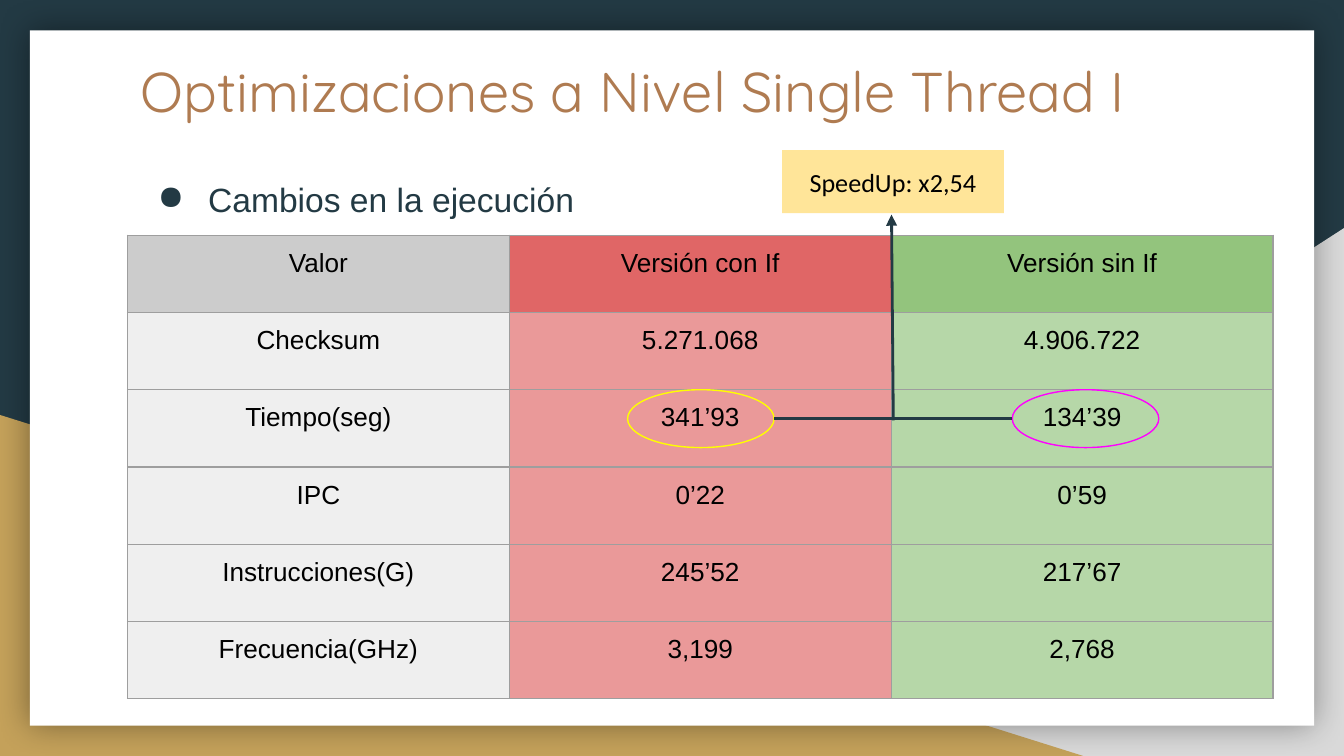
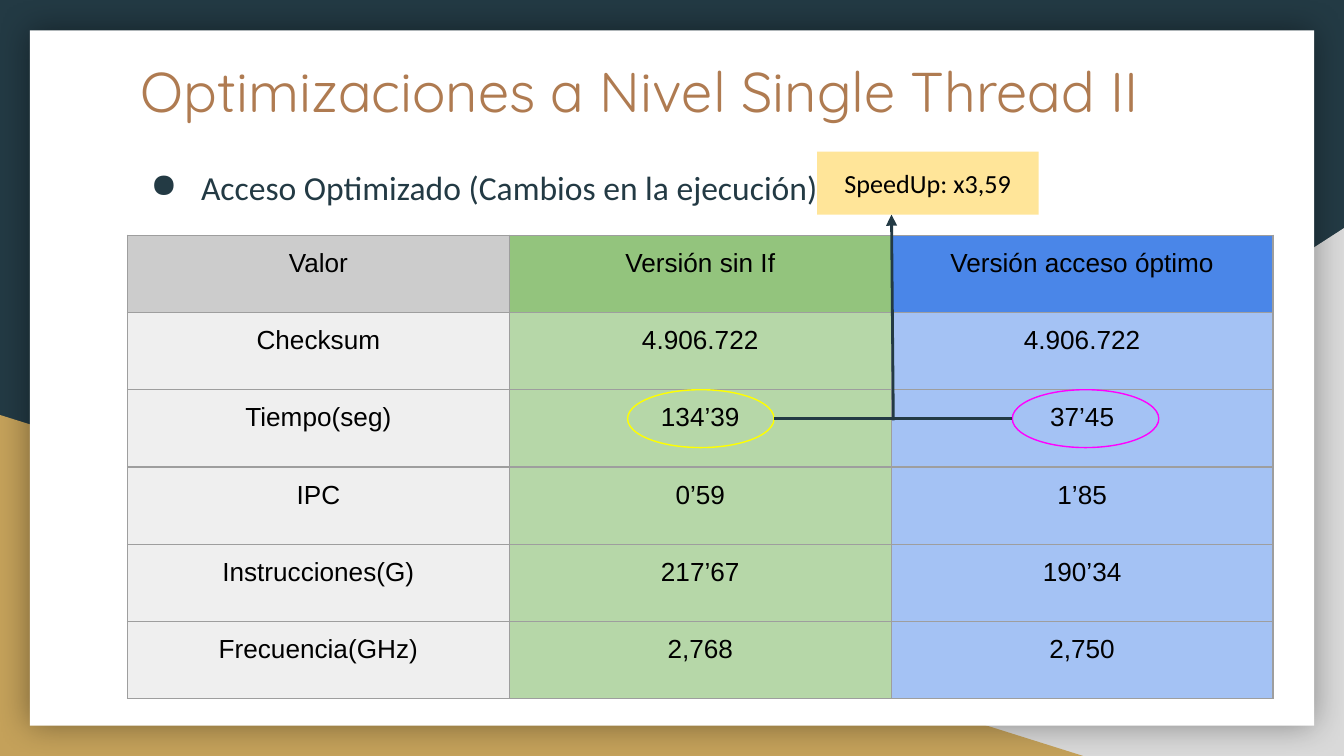
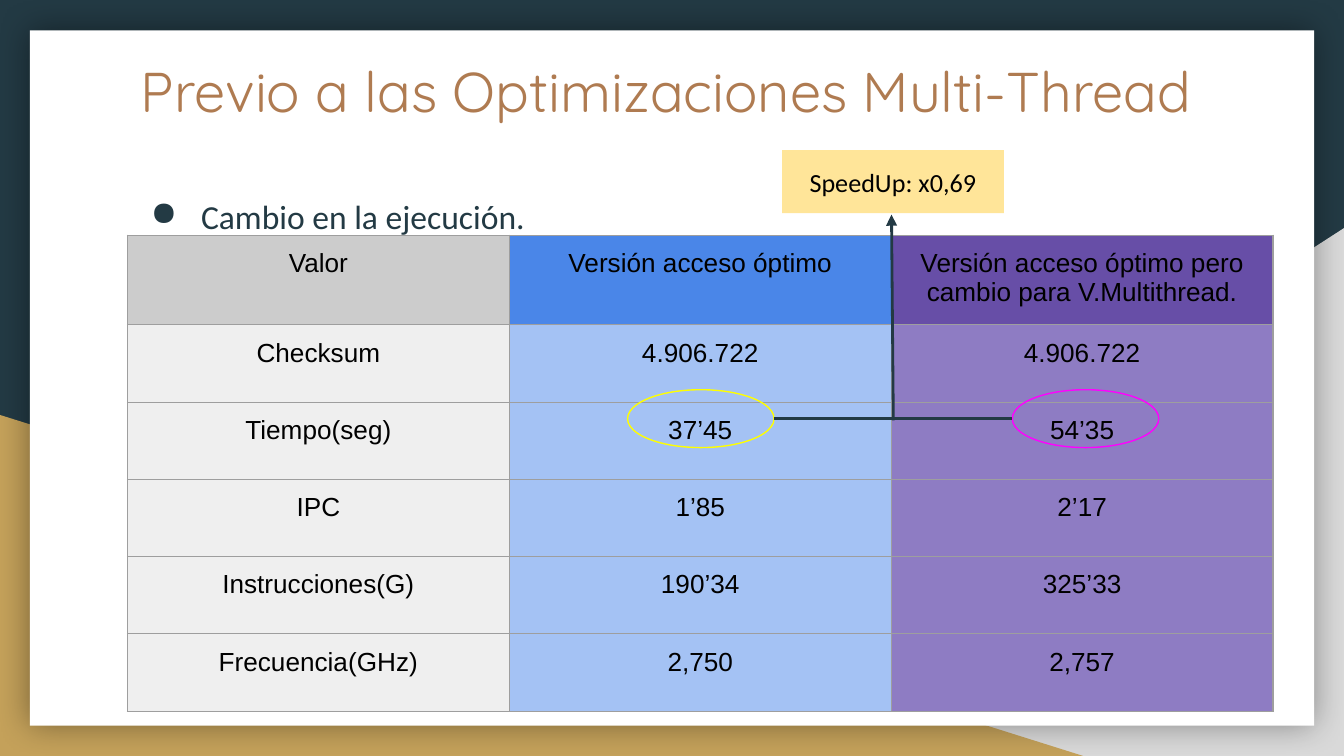
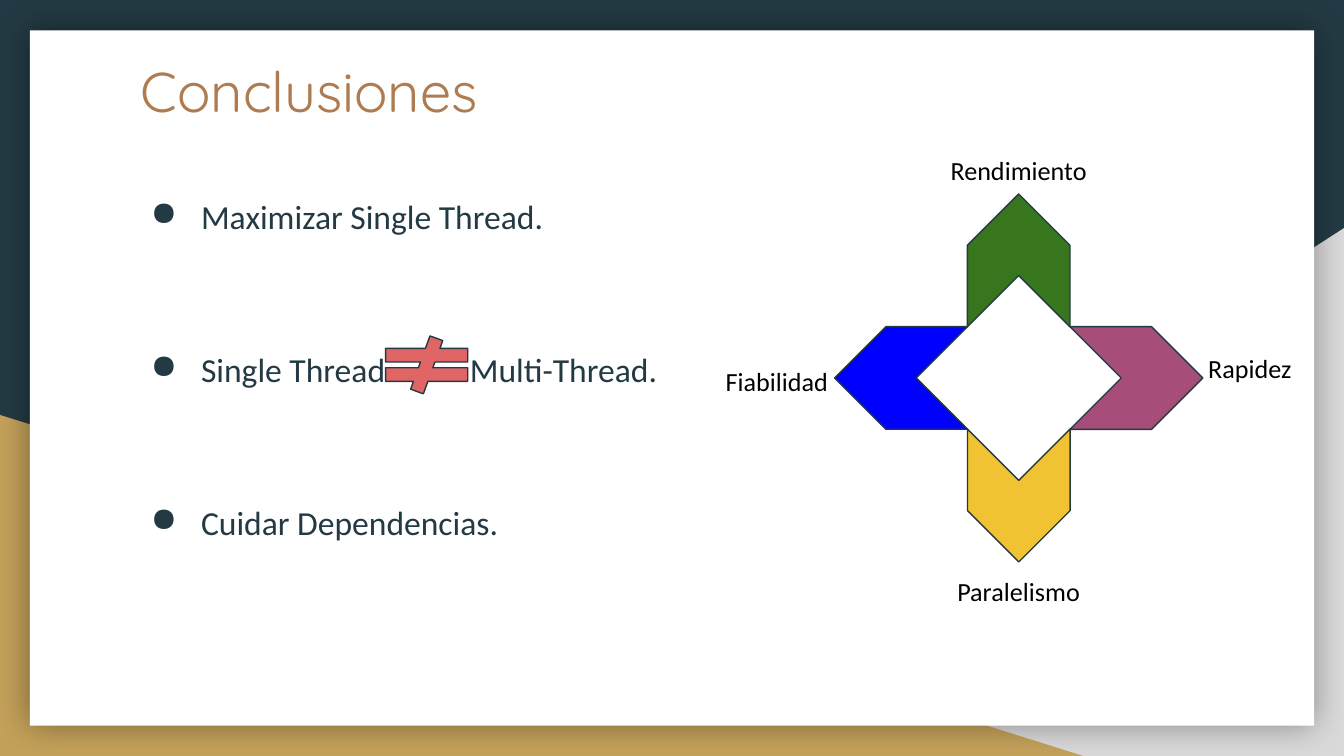
from dataclasses import dataclass

from lxml.etree import SubElement
from pptx import Presentation
from pptx.dml.color import RGBColor
from pptx.enum.shapes import MSO_CONNECTOR, MSO_SHAPE
from pptx.enum.text import MSO_ANCHOR, PP_ALIGN
from pptx.oxml.ns import qn
from pptx.util import Pt

# ---- Content ----
MEASURES = ["Checksum", "Tiempo(seg)", "IPC", "Instrucciones(G)", "Frecuencia(GHz)"]

# version: (heading, heading colour, cell colour, values)
VERSIONS = {
    "if": ("Versión con If", "E06666", "EA9999",
           ["5.271.068", "341’93", "0’22", "245’52", "3,199"]),
    "no_if": ("Versión sin If", "93C47D", "B6D7A8",
              ["4.906.722", "134’39", "0’59", "217’67", "2,768"]),
    "access": ("Versión acceso óptimo", "4A86E8", "A4C2F4",
               ["4.906.722", "37’45", "1’85", "190’34", "2,750"]),
    "multi": ("Versión acceso óptimo pero cambio para V.Multithread.",
              "674EA7", "8E7CC3",
              ["4.906.722", "54’35", "2’17", "325’33", "2,757"]),
}

# Boxes are (left, top, width, height) in points
COMPARISONS = [
    {"title": "Optimizaciones a Nivel Single Thread I",
     "bullet": "Cambios en la ejecución", "font": "Arial",
     "bullet_box": (68.4, 85.7, 291.6, 31),
     "versions": ("if", "no_if"),
     "speedup": "SpeedUp: x2,54", "speedup_at": (419, 80.5)},
    {"title": "Optimizaciones a Nivel Single Thread II",
     "bullet": "Acceso Optimizado (Cambios en la ejecución)", "font": "Calibri",
     "bullet_box": (64.6, 79.2, 591, 36),
     "versions": ("no_if", "access"),
     "speedup": "SpeedUp: x3,59", "speedup_at": (437.7, 81.2)},
    {"title": "Previo a las Optimizaciones Multi-Thread",
     "bullet": "Cambio en la ejecución.", "font": "Calibri",
     "bullet_box": (64.6, 94.3, 591, 31),
     "versions": ("access", "multi"),
     "speedup": "SpeedUp: x0,69", "speedup_at": (419, 80.5)},
]

CONCLUSIONS = {
    "title": "Conclusiones",
    "bullets": ["Maximizar Single Thread.", "Single Thread\t\tMulti-Thread.",
                "Cuidar Dependencias."],
    "bullet_box": (64.6, 94.3, 327.6, 255.6),
    "not_equal_box": (198.7, 180, 59.8, 31),
}

# label, label box, chevron colour, direction (x, y), rotation
QUALITIES = [
    ("Fiabilidad", (362.9, 188.6, 106.6, 28), "0000FF", (-1, 0), 0),
    ("Rendimiento", (469.4, 75.6, 152.6, 28), "38761D", (0, -1), 90),
    ("Rapidez", (593.3, 181.4, 152.6, 28), "A64D79", (1, 0), 180),
    ("Paralelismo", (469.4, 301, 152.6, 28), "F1C232", (0, 1), 270),
]


# ---- Theme ----
@dataclass(frozen=True)
class Theme:
    ink: str = "233A44"
    title: str = "AF7B51"
    gold: str = "C4A15A"
    grey: str = "D9D9D9"
    white: str = "FFFFFF"
    black: str = "000000"
    label_head: str = "CCCCCC"
    label_cell: str = "EFEFEF"
    border: str = "9E9E9E"
    callout: str = "FFE599"
    before_ring: str = "FFFF00"
    after_ring: str = "FF00FF"
    not_equal: str = "E06666"
    title_font: str = "Quicksand"
    table_font: str = "Arial"
    text_font: str = "Calibri"
    title_size: float = 30
    bullet_size: float = 18
    small_size: float = 14
    thin: float = 0.75
    thick: float = 1.5
    inset: float = 7.2


T = Theme()
SLIDE_W, SLIDE_H = 720, 405
TITLE_BOX = (68.4, 23.2, 591, 46)
TABLE_LEFT, TABLE_TOP, COL_W, ROW_H = 68.3, 126, 204.6, 41.4
RING_W, RING_H, RING_TOP = 78.5, 31, 208.8
RING_LEFTS = (336.2, 542.3)
CALLOUT_SIZE = (118.8, 33.8)
BULLET_GAP = 57.2
CROSS_X, CROSS_Y, CROSS_R = 545.8, 202.5, 63
CHEVRON_W, CHEVRON_H = 71.2, 55


# ---- Helpers ----
def rgb(color):
    return RGBColor.from_string(color)


def style(p, font, size, color, align=None):
    p.alignment = align
    for r in p.runs:
        r.font.name, r.font.size = font, Pt(size)
        r.font.color.rgb = rgb(color)


def set_margins(obj):
    obj.margin_left = obj.margin_right = Pt(T.inset)
    obj.margin_top = obj.margin_bottom = Pt(T.inset)


def add_preset(s, kind, box, fill=None, line=None, flip=False):
    sp = s.shapes.add_shape(kind, *map(Pt, box))
    sp.shadow.inherit = False
    if fill:
        sp.fill.solid()
        sp.fill.fore_color.rgb = rgb(fill)
    else:
        sp.fill.background()
    if line:
        sp.line.color.rgb = rgb(line)
        sp.line.width = Pt(T.thin)
    else:
        sp.line.fill.background()
    if flip:
        sp._element.spPr.xfrm.set("flipH", "1")
    return sp


def add_text(s, box, text, font, size, color, align=None):
    tf = s.shapes.add_textbox(*map(Pt, box)).text_frame
    tf.word_wrap = True
    set_margins(tf)
    tf.text = text
    for p in tf.paragraphs:
        style(p, font, size, color, align)
    return tf


def add_bullets(s, box, items, font):
    tf = add_text(s, box, "\n".join(items), font, T.bullet_size, T.ink)
    for i, p in enumerate(tf.paragraphs):
        p.line_spacing = 1.15
        p.space_before = Pt(BULLET_GAP if i else 0)
        pPr = p._p.get_or_add_pPr()
        pPr.set("marL", str(Pt(36)))
        pPr.set("indent", str(Pt(-27)))
        clr = SubElement(pPr, qn("a:buClr"))
        SubElement(clr, qn("a:srgbClr"), val=T.ink)
        SubElement(pPr, qn("a:buChar"), char="●")


def add_line(s, start, end, arrow=False):
    c = s.shapes.add_connector(MSO_CONNECTOR.STRAIGHT, *map(Pt, start + end))
    c.line.color.rgb = rgb(T.ink)
    c.line.width = Pt(T.thick)
    if arrow:
        SubElement(c.line._get_or_add_ln(), qn("a:tailEnd"), type="triangle")
    SubElement(c._element.spPr, qn("a:effectLst"))


def add_slide(prs, title):
    s = prs.slides.add_slide(prs.slide_layouts[6])
    # Corner triangles
    add_preset(s, MSO_SHAPE.RIGHT_TRIANGLE, (282.2, 122.2, 437.8, 282.8), T.grey, flip=True)
    add_preset(s, MSO_SHAPE.RIGHT_TRIANGLE, (0, 222.3, 580.3, 182.7), T.gold)
    # White card with a soft shadow
    card = add_preset(s, MSO_SHAPE.RECTANGLE, (16, 16.2, 688, 372.5), T.white)
    effects = card._element.spPr.find(qn("a:effectLst"))
    shadow = SubElement(effects, qn("a:outerShdw"), blurRad=str(Pt(18)),
                        dist="0", dir="0", algn="ctr", rotWithShape="0")
    clr = SubElement(shadow, qn("a:srgbClr"), val=T.black)
    SubElement(clr, qn("a:alpha"), val="40000")
    add_text(s, TITLE_BOX, title, T.title_font, T.title_size, T.title)
    return s


def fill_cell(cell, text, fill):
    cell.text = text
    set_margins(cell)
    cell.fill.solid()
    cell.fill.fore_color.rgb = rgb(fill)
    style(cell.text_frame.paragraphs[0], T.table_font, T.small_size, T.black, PP_ALIGN.CENTER)
    tcPr = cell._tc.get_or_add_tcPr()
    for i, side in enumerate(("lnL", "lnR", "lnT", "lnB")):
        ln = tcPr.makeelement(qn(f"a:{side}"), {"w": str(Pt(T.thin))})
        clr = SubElement(SubElement(ln, qn("a:solidFill")), qn("a:srgbClr"))
        clr.set("val", T.border)
        tcPr.insert(i, ln)


def add_version_table(s, names):
    columns = [("Valor", T.label_head, T.label_cell, MEASURES)]
    columns += [VERSIONS[name] for name in names]
    n_rows, n_cols = len(MEASURES) + 1, len(columns)
    box = (TABLE_LEFT, TABLE_TOP, COL_W * n_cols, ROW_H * n_rows)
    table = s.shapes.add_table(n_rows, n_cols, *map(Pt, box)).table
    table.first_row = table.horz_banding = False
    for row in table.rows:
        row.height = Pt(ROW_H)
    for j, (heading, head_fill, cell_fill, values) in enumerate(columns):
        table.columns[j].width = Pt(COL_W)
        fill_cell(table.cell(0, j), heading, head_fill)
        for i, value in enumerate(values, 1):
            fill_cell(table.cell(i, j), value, cell_fill)


# ---- Slides ----
def build_comparison(prs, data):
    s = add_slide(prs, data["title"])
    add_bullets(s, data["bullet_box"], [data["bullet"]], data["font"])
    add_version_table(s, data["versions"])

    # Rings around both times, joined and led up to the speedup
    for left, color in zip(RING_LEFTS, (T.before_ring, T.after_ring)):
        add_preset(s, MSO_SHAPE.OVAL, (left, RING_TOP, RING_W, RING_H), line=color)
    mid_y = RING_TOP + RING_H / 2
    add_line(s, (RING_LEFTS[0] + RING_W, mid_y), (RING_LEFTS[1], mid_y))
    add_line(s, (478.6, 225.2), (477.6, 115), arrow=True)

    sp = add_preset(s, MSO_SHAPE.RECTANGLE, data["speedup_at"] + CALLOUT_SIZE, T.callout)
    tf = sp.text_frame
    set_margins(tf)
    tf.vertical_anchor = MSO_ANCHOR.MIDDLE
    tf.text = data["speedup"]
    style(tf.paragraphs[0], T.text_font, T.small_size, T.black, PP_ALIGN.CENTER)


def build_conclusions(prs, data):
    s = add_slide(prs, data["title"])
    add_bullets(s, data["bullet_box"], data["bullets"], T.text_font)

    # Cross of four chevrons pointing outwards
    for label, label_box, color, (dx, dy), rotation in QUALITIES:
        left = CROSS_X + dx * CROSS_R - CHEVRON_W / 2
        top = CROSS_Y + dy * CROSS_R - CHEVRON_H / 2
        sp = add_preset(s, MSO_SHAPE.CHEVRON, (left, top, CHEVRON_W, CHEVRON_H),
                        color, T.ink, flip=True)
        sp.rotation = rotation
        add_text(s, label_box, label, T.text_font, T.small_size, T.black, PP_ALIGN.CENTER)

    sp = add_preset(s, MSO_SHAPE.MATH_NOT_EQUAL, data["not_equal_box"], T.not_equal, T.ink)
    for i, value in enumerate((0.235, 66, 0.1)):
        sp.adjustments[i] = value


def main():
    prs = Presentation()
    prs.slide_width, prs.slide_height = Pt(SLIDE_W), Pt(SLIDE_H)
    background = prs.slide_master.background.fill
    background.solid()
    background.fore_color.rgb = rgb(T.ink)
    for data in COMPARISONS:
        build_comparison(prs, data)
    build_conclusions(prs, CONCLUSIONS)
    prs.save("out.pptx")


if __name__ == "__main__":
    main()
